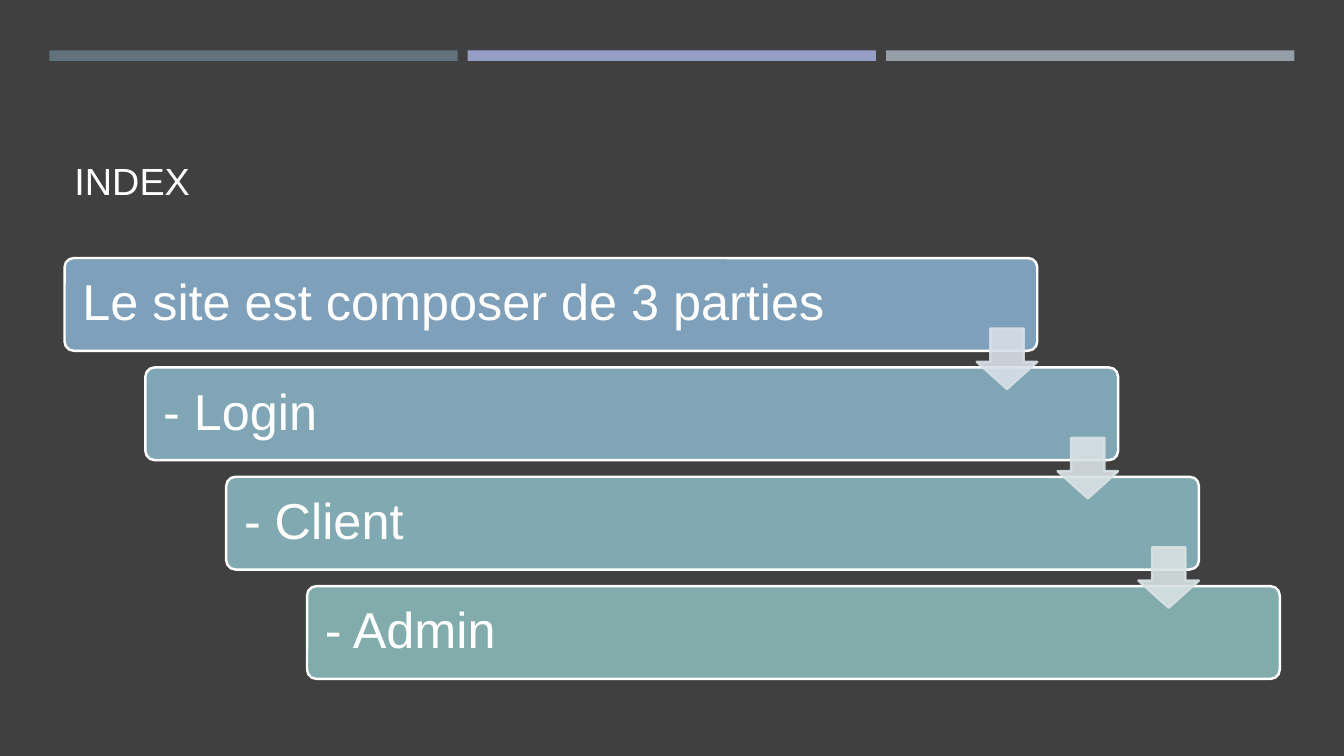
from dataclasses import dataclass

from lxml.etree import SubElement
from pptx import Presentation
from pptx.dml.color import RGBColor
from pptx.enum.shapes import MSO_SHAPE
from pptx.enum.text import MSO_ANCHOR, PP_ALIGN
from pptx.oxml.ns import qn
from pptx.shapes.autoshape import Shape
from pptx.slide import Slide
from pptx.util import Inches, Length, Pt


@dataclass(frozen=True)
class Theme:
    font: str = "Arial"
    title_size: float = 27
    step_size: float = 36
    line_width: float = 1.75
    text: str = "FFFFFF"
    backdrop: str = "000000"
    panel: str = "404040"
    stripes: tuple[str, ...] = ("60727A", "969DC6", "969FA7")
    arrow_opacity: int = 90


@dataclass(frozen=True)
class Cell:
    column: float
    row: float
    columns: float
    rows: float


@dataclass(frozen=True)
class Step:
    label: str
    fill: str
    arrow: str | None = None


THEME = Theme()
GRID_UNIT = 0.1
SLIDE = Cell(0, 0, 133.33, 75)
TITLE = Cell(6.4, 7.7, 120.6, 13)
STRIPE = Cell(4.9, 5, 40.5, 1.05)
STRIPE_PITCH = 41.5
FIRST_BAR = Cell(6.4, 25.6, 96.5, 9.2)
STEP_COLUMNS = 8.02
STEP_ROWS = 10.85
ARROW_SIZE = 6
ARROW_DROP = 7
STEPS = (
    Step("Le site est composer de 3 parties", "7FA0BA", "D8DFE7"),
    Step("- Login\u00a0".strip(), "80A5B5", "D8E1E5"),
    Step("- Client", "81A9B1", "D8E2E3"),
    Step("- Admin", "82ABAC"),
)


def grid(units: float) -> Length:
    return Inches(units * GRID_UNIT)


def place(cell: Cell) -> tuple[Length, Length, Length, Length]:
    return grid(cell.column), grid(cell.row), grid(cell.columns), grid(cell.rows)


def add_block(slide: Slide, kind: MSO_SHAPE, cell: Cell, fill: str,
              line: str | None = None) -> Shape:
    shape = slide.shapes.add_shape(kind, *place(cell))
    shape.shadow.inherit = False
    shape.fill.solid()
    shape.fill.fore_color.rgb = RGBColor.from_string(fill)
    if line:
        shape.line.color.rgb = RGBColor.from_string(line)
        shape.line.width = Pt(THEME.line_width)
    else:
        shape.line.fill.background()
    return shape


def write(shape: Shape, text: str, size: float, anchor: MSO_ANCHOR) -> None:
    frame = shape.text_frame
    frame.text = text
    frame.word_wrap = True
    frame.vertical_anchor = anchor
    paragraph = frame.paragraphs[0]
    paragraph.alignment = PP_ALIGN.LEFT
    paragraph.line_spacing = 0.9
    font = paragraph.runs[0].font
    font.name = THEME.font
    font.size = Pt(size)
    font.color.rgb = RGBColor.from_string(THEME.text)


def bar_cell(index: int) -> Cell:
    return Cell(FIRST_BAR.column + index * STEP_COLUMNS,
                FIRST_BAR.row + index * STEP_ROWS,
                FIRST_BAR.columns, FIRST_BAR.rows)


def add_bar(slide: Slide, step: Step, cell: Cell) -> None:
    bar = add_block(slide, MSO_SHAPE.ROUNDED_RECTANGLE, cell, step.fill, THEME.text)
    bar.adjustments[0] = 0.1
    write(bar, step.label, THEME.step_size, MSO_ANCHOR.MIDDLE)
    frame = bar.text_frame
    frame.margin_left = frame.margin_right = grid(1.5)
    frame.margin_top = frame.margin_bottom = grid(0)


def add_arrow(slide: Slide, color: str, bar: Cell) -> None:
    cell = Cell(bar.column + bar.columns - ARROW_SIZE, bar.row + ARROW_DROP,
                ARROW_SIZE, ARROW_SIZE)
    arrow = add_block(slide, MSO_SHAPE.DOWN_ARROW, cell, color, color)
    arrow.adjustments[0] = 0.55
    arrow.adjustments[1] = 0.45
    for tint in arrow._element.spPr.iter(qn("a:srgbClr")):
        SubElement(tint, qn("a:alpha"), val=str(THEME.arrow_opacity * 1000))


def main() -> None:
    presentation = Presentation()
    presentation.slide_width = grid(SLIDE.columns)
    presentation.slide_height = grid(SLIDE.rows)
    slide = presentation.slides.add_slide(presentation.slide_layouts[6])
    slide.background.fill.solid()
    slide.background.fill.fore_color.rgb = RGBColor.from_string(THEME.backdrop)

    add_block(slide, MSO_SHAPE.RECTANGLE, SLIDE, THEME.panel)
    title = slide.shapes.add_textbox(*place(TITLE))
    write(title, "INDEX", THEME.title_size, MSO_ANCHOR.BOTTOM)

    for index, color in enumerate(THEME.stripes):
        cell = Cell(STRIPE.column + index * STRIPE_PITCH, STRIPE.row,
                    STRIPE.columns, STRIPE.rows)
        add_block(slide, MSO_SHAPE.RECTANGLE, cell, color)

    for index, step in enumerate(STEPS):
        add_bar(slide, step, bar_cell(index))
    for index, step in enumerate(STEPS):
        if step.arrow:
            add_arrow(slide, step.arrow, bar_cell(index))

    presentation.save("out.pptx")


if __name__ == "__main__":
    main()
